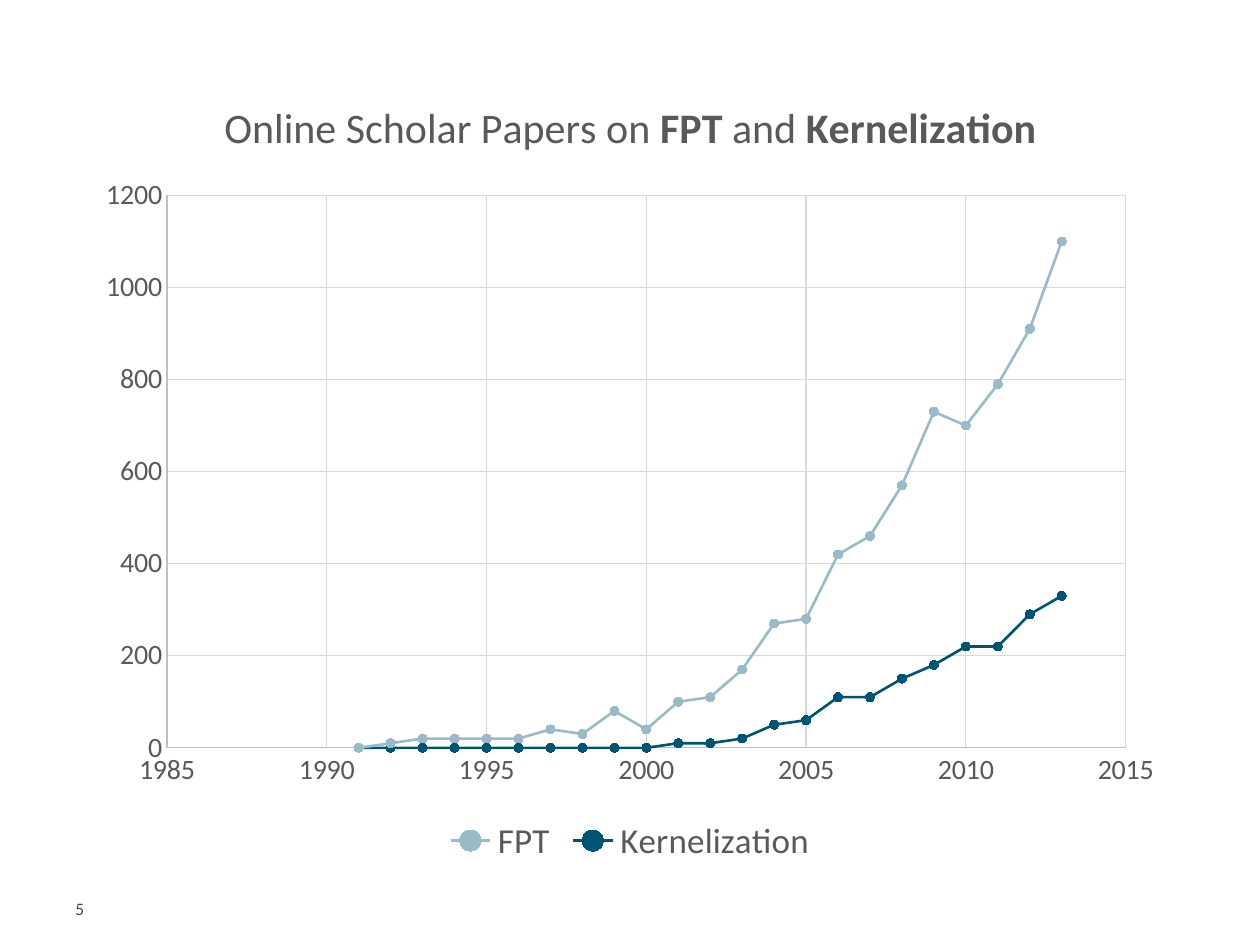
from lxml import etree
from pptx import Presentation
from pptx.chart.data import XyChartData
from pptx.dml.color import RGBColor
from pptx.enum.chart import XL_CHART_TYPE as ChartType, XL_LEGEND_POSITION as LegendPosition
from pptx.enum.chart import XL_MARKER_STYLE as MarkerStyle, XL_TICK_MARK as TickMark
from pptx.oxml.ns import qn
from pptx.util import Pt

# Content
FONT = "Calibri"
COLORS = {"text": "595959", "number": "4E4A48", "axis": "BFBFBF", "grid": "D9D9D9",
          "FPT": "99BBC7", "Kernelization": "005473"}
TITLE = [("Online Scholar Papers on ", False), ("FPT", True),
         (" and ", False), ("Kernelization", True)]
FIRST_YEAR = 1991
PAPERS = {
    "FPT": [0, 10, 20, 20, 20, 20, 40, 30, 80, 40, 100, 110, 170, 270, 280,
            420, 460, 570, 730, 700, 790, 910, 1100],
    "Kernelization": [0] * 10 + [10, 10, 20, 50, 60, 110, 110, 150, 180,
                                 220, 220, 290, 330],
}
YEAR_SCALE = (1985, 2015, 5)
PAPER_SCALE = (0, 1200, 200)
SLIDE_NUMBER = "5"


def color(name):
    return RGBColor.from_string(COLORS[name])


def style_font(font, size, color_name="text", bold=False):
    font.name, font.size, font.bold = FONT, Pt(size), bold
    font.color.rgb = color(color_name)


def add_text(para, text, **style):
    span = para.add_run()
    span.text = text
    style_font(span.font, **style)


def style_line(line, color_name, width):
    line.color.rgb = color(color_name)
    line.width = Pt(width)


def style_axis(axis, scale):
    axis.minimum_scale, axis.maximum_scale, axis.major_unit = scale
    axis.major_tick_mark = axis.minor_tick_mark = TickMark.NONE
    axis.has_major_gridlines = True
    style_line(axis.major_gridlines.format.line, "grid", 0.75)
    style_line(axis.format.line, "axis", 0.75)
    style_font(axis.tick_labels.font, 16)
    axis.tick_labels.number_format = "General"
    axis.tick_labels.number_format_is_linked = False


def place(element, **settings):
    """Give a chart part a manual layout, in fractions of the chart."""
    for old in element.findall(qn("c:layout")):
        element.remove(old)
    layout = etree.Element(qn("c:layout"))
    manual = etree.SubElement(layout, qn("c:manualLayout"))
    for tag, value in settings.items():
        etree.SubElement(manual, qn("c:" + tag)).set("val", str(value))
    text = element.find(qn("c:tx"))
    element.insert(0 if text is None else 1, layout)


deck = Presentation()
deck.slide_width, deck.slide_height = Pt(720), Pt(540)
page = deck.slides.add_slide(deck.slide_layouts[6])

# Chart
data = XyChartData()
for name, counts in PAPERS.items():
    points = data.add_series(name)
    for year, count in enumerate(counts, FIRST_YEAR):
        points.add_data_point(year, count)
chart = page.shapes.add_chart(ChartType.XY_SCATTER_LINES, Pt(48), Pt(43.2),
                              Pt(624), Pt(453.6), data).chart
style_font(chart.font, 10)
chart.plots[0].vary_by_categories = False
style_axis(chart.category_axis, YEAR_SCALE)
style_axis(chart.value_axis, PAPER_SCALE)
place(chart.plots[0]._element.getparent(), layoutTarget="inner", xMode="edge",
      yMode="edge", x=0.076, y=0.151, w=0.878, h=0.696)

# Series
for series in chart.plots[0].series:
    series.smooth = False
    style_line(series.format.line, series.name, 1.5)
    marker = series.marker
    marker.style, marker.size = MarkerStyle.CIRCLE, 5
    marker.format.fill.solid()
    marker.format.fill.fore_color.rgb = color(series.name)
    style_line(marker.format.line, series.name, 0.75)

# Chart title and legend
chart.has_title = True
title = chart.chart_title
title.include_in_layout = False
for text, bold in TITLE:
    add_text(title.text_frame.paragraphs[0], text, size=24, bold=bold)
place(title._element, xMode="edge", yMode="edge", x=0.125, y=0.028)
chart.has_legend = True
chart.legend.position = LegendPosition.BOTTOM
chart.legend.include_in_layout = False
style_font(chart.legend.font, 20)

# Slide number
box = page.shapes.add_textbox(Pt(36), Pt(513.4), Pt(154), Pt(21.6))
frame = box.text_frame
frame.word_wrap = True
frame.margin_top, frame.margin_bottom = Pt(0), Pt(3.6)
add_text(frame.paragraphs[0], SLIDE_NUMBER, size=10, color_name="number")

deck.save("out.pptx")
